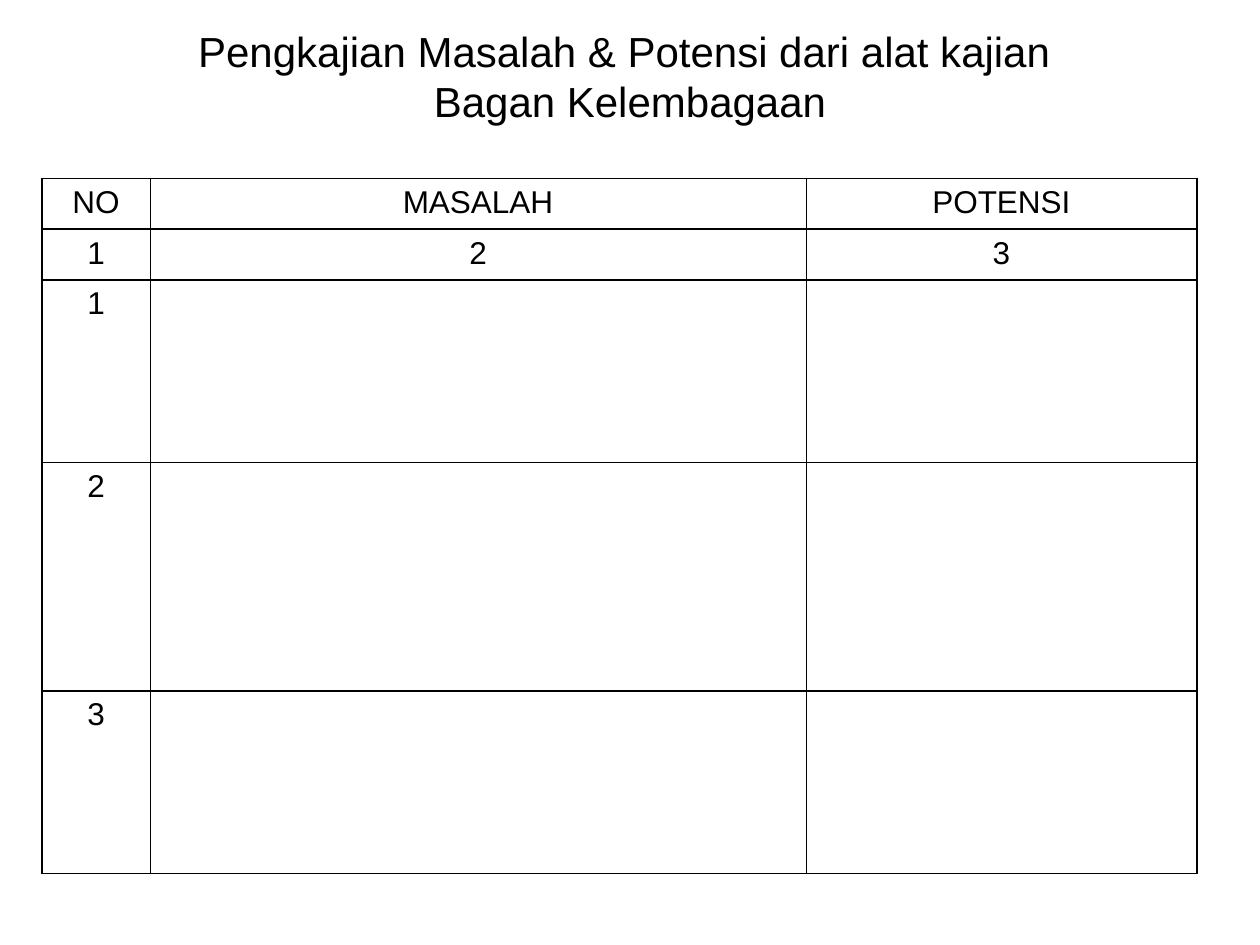
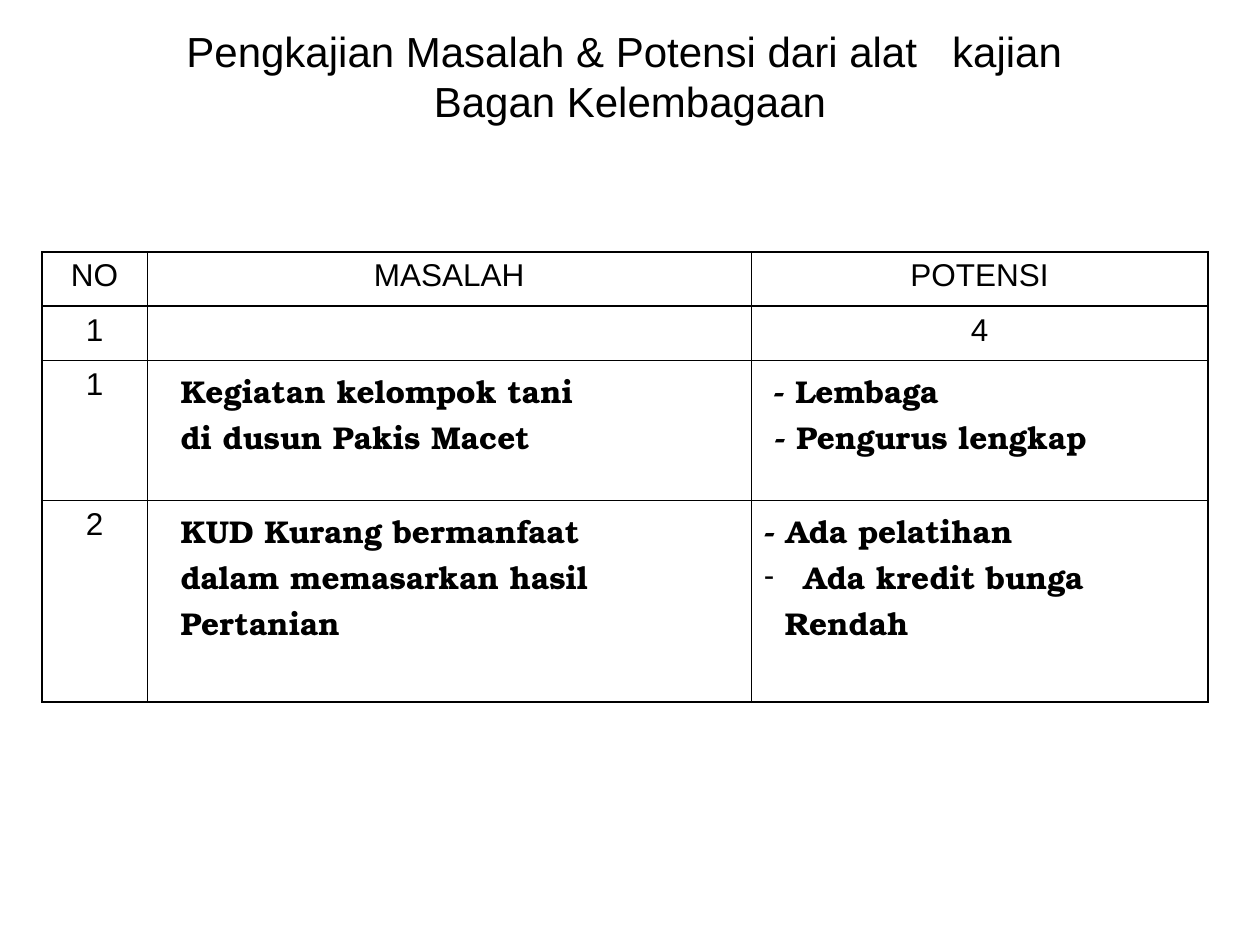
from dataclasses import dataclass

from lxml.etree import SubElement
from pptx import Presentation
from pptx.dml.color import RGBColor
from pptx.enum.text import MSO_ANCHOR, MSO_AUTO_SIZE, PP_ALIGN
from pptx.oxml.ns import qn
from pptx.util import Inches, Pt

UNIT = Inches(1) // 12  # the slide is a grid of 120 columns by 90 rows


@dataclass(frozen=True)
class Theme:
    ink: str = "000000"
    plain_font: str = "Arial"
    entry_font: str = "TeX Gyre Bonum"
    title_size: int = 24
    table_size: int = 18
    outer_line: float = 1.08
    inner_line: float = 0.45


@dataclass(frozen=True)
class Entry:
    """One line of a table cell, indented by a number of grid columns."""
    text: str
    indent: float = 2
    bullet: str = ""


@dataclass(frozen=True)
class Box:
    left: float
    top: float
    width: float
    height: float


THEME = Theme()
TITLE_BOX = Box(9, 2, 102, 10.4)
TABLE_LEFT = 4


def grid(units):
    return round(units * UNIT)


def style_font(font, name, size, bold=False):
    font.name = name
    font.size = Pt(size)
    font.bold = bold
    font.color.rgb = RGBColor.from_string(THEME.ink)


def prepare_title_layout(presentation):
    """Set the title style and place once for every slide."""
    defaults = presentation.slide_master.element.find(
        ".//" + qn("p:titleStyle") + "/" + qn("a:lvl1pPr") + "/" + qn("a:defRPr"))
    defaults.set("sz", str(THEME.title_size * 100))
    layout = presentation.slide_layouts.get_by_name("Title Only")
    title = layout.placeholders[0]
    title.left, title.top = grid(TITLE_BOX.left), grid(TITLE_BOX.top)
    title.width, title.height = grid(TITLE_BOX.width), grid(TITLE_BOX.height)
    return layout


def add_title(slide, gap_after_alat=0):
    """Write the two-line title; the gap widens the space after "alat", in points."""
    frame = slide.shapes.title.text_frame
    frame.auto_size = MSO_AUTO_SIZE.NONE
    frame.vertical_anchor = MSO_ANCHOR.MIDDLE
    paragraph = frame.paragraphs[0]
    paragraph.alignment = PP_ALIGN.CENTER

    def add_run(text):
        run = paragraph.add_run()
        run.text = text
        style_font(run.font, THEME.plain_font, THEME.title_size)
        return run

    add_run("Pengkajian Masalah & Potensi dari alat")
    space = add_run(" ")
    if gap_after_alat:
        space._r.get_or_add_rPr().set("spc", str(round(gap_after_alat * 100)))
    add_run("kajian ")
    paragraph.add_line_break()
    add_run("Bagan Kelembagaan")


def set_borders(cell, widths):
    properties = cell._tc.get_or_add_tcPr()
    for side, width in widths.items():
        line = SubElement(properties, qn("a:ln" + side), w=str(Pt(width)))
        fill = SubElement(line, qn("a:solidFill"))
        SubElement(fill, qn("a:srgbClr"), val=THEME.ink)


def indent_paragraph(paragraph, entry):
    properties = paragraph._p.get_or_add_pPr()
    properties.set("marL", str(grid(entry.indent)))
    properties.set("indent", str(-grid(entry.indent) if entry.bullet else 0))
    if entry.bullet:
        colour = SubElement(properties, qn("a:buClr"))
        SubElement(colour, qn("a:srgbClr"), val=THEME.ink)
        SubElement(properties, qn("a:buFont"), typeface=THEME.plain_font)
        SubElement(properties, qn("a:buChar"), char=entry.bullet)


def write_label(cell, text):
    paragraph = cell.text_frame.paragraphs[0]
    paragraph.alignment = PP_ALIGN.CENTER
    run = paragraph.add_run()
    run.text = text
    style_font(run.font, THEME.plain_font, THEME.table_size)


def write_entries(cell, entries):
    frame = cell.text_frame
    for index, entry in enumerate(entries):
        paragraph = frame.add_paragraph() if index else frame.paragraphs[0]
        paragraph.alignment = PP_ALIGN.LEFT
        indent_paragraph(paragraph, entry)
        run = paragraph.add_run()
        run.text = entry.text
        style_font(run.font, THEME.entry_font, THEME.table_size, bold=True)


def add_assessment_table(slide, top, columns, rows, content):
    """Draw the ruled table; column widths and row heights are in grid units."""
    table = slide.shapes.add_table(
        len(rows), len(columns), grid(TABLE_LEFT), grid(top),
        grid(sum(columns)), grid(sum(rows))).table
    table.first_row = table.horz_banding = False
    for column, width in zip(table.columns, columns):
        column.width = grid(width)
    for row, height in zip(table.rows, rows):
        row.height = grid(height)
    last = len(columns) - 1
    for row_index, values in enumerate(content):
        for column_index, value in enumerate(values):
            cell = table.cell(row_index, column_index)
            set_borders(cell, {
                "L": THEME.inner_line if column_index else THEME.outer_line,
                "R": THEME.inner_line if column_index < last else THEME.outer_line,
                "T": THEME.outer_line,
                "B": THEME.outer_line,
            })
            cell.fill.background()
            if isinstance(value, list):
                write_entries(cell, value)
            elif value:
                write_label(cell, value)


HEADINGS = ["NO", "MASALAH", "POTENSI"]

BLANK_FORM = [
    HEADINGS,
    ["1", "2", "3"],
    *([str(number), "", ""] for number in range(1, 4)),
]

FILLED_FORM = [
    HEADINGS,
    ["1", "", "4"],
    ["1",
     [Entry("Kegiatan kelompok tani"), Entry("di dusun Pakis Macet")],
     [Entry("- Lembaga", 0.9), Entry("- Pengurus lengkap", 1)]],
    ["2",
     [Entry("KUD Kurang bermanfaat"), Entry("dalam memasarkan hasil"),
      Entry("Pertanian")],
     [Entry("- Ada pelatihan", 0), Entry("Ada kredit bunga", 3.8, "-"),
      Entry("Rendah")]],
]


def main():
    presentation = Presentation()
    presentation.slide_width = grid(120)
    presentation.slide_height = grid(90)
    layout = prepare_title_layout(presentation)

    blank_slide = presentation.slides.add_slide(layout)
    add_title(blank_slide)
    add_assessment_table(blank_slide, 17, [10.3, 62.45, 37.25],
                         [4.83, 4.83, 17.4, 21.75, 17.4], BLANK_FORM)

    filled_slide = presentation.slides.add_slide(layout)
    add_title(filled_slide, gap_after_alat=13.3)
    add_assessment_table(filled_slide, 24, [10, 57.55, 43.5],
                         [5.17, 5.17, 13.33, 19.2], FILLED_FORM)

    presentation.save("out.pptx")


if __name__ == "__main__":
    main()
